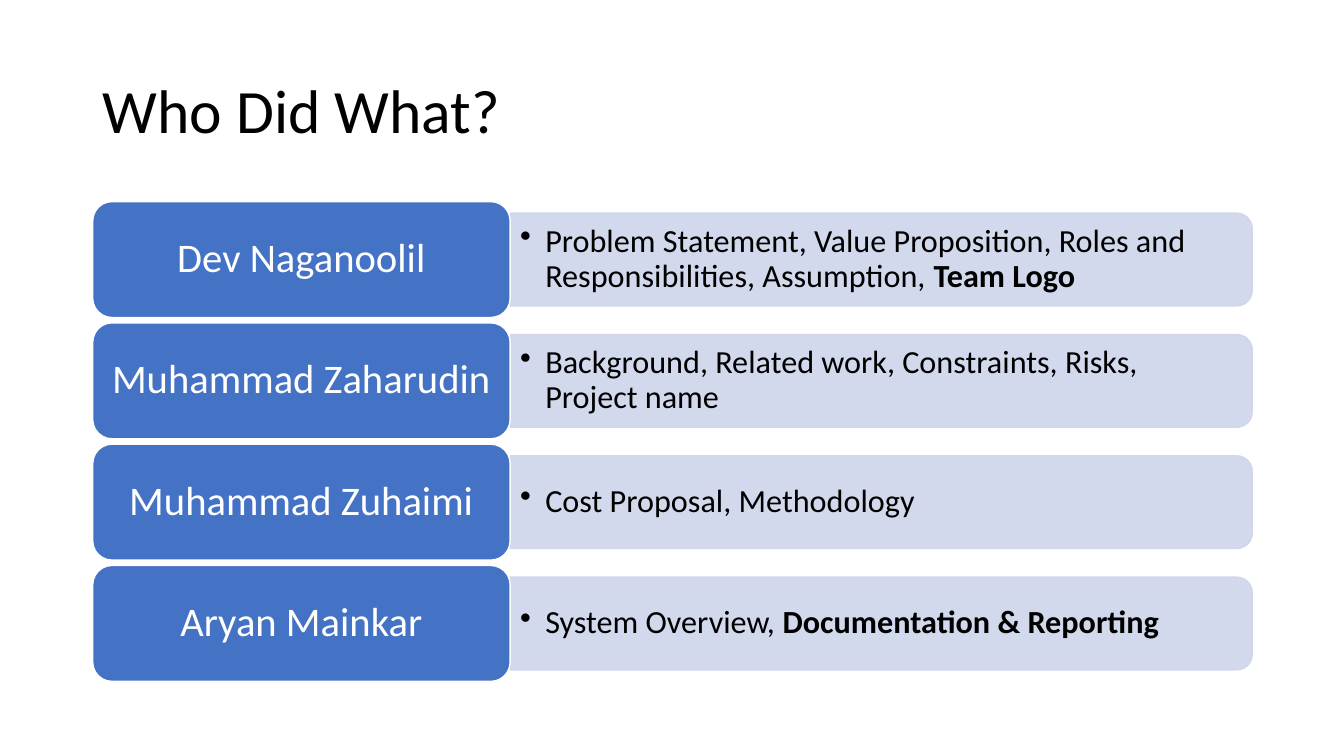
from dataclasses import dataclass

from lxml import etree
from pptx import Presentation
from pptx.dml.color import RGBColor
from pptx.enum.shapes import MSO_SHAPE
from pptx.enum.text import MSO_ANCHOR, PP_ALIGN
from pptx.oxml.ns import qn
from pptx.util import Inches, Pt

ROUNDED = MSO_SHAPE.ROUNDED_RECTANGLE
ROUNDED_TOP = MSO_SHAPE.ROUND_2_SAME_RECTANGLE
MIDDLE = MSO_ANCHOR.MIDDLE
LEFT, CENTER = PP_ALIGN.LEFT, PP_ALIGN.CENTER


@dataclass(frozen=True)
class Theme:
    font: str = "Calibri"
    ink: str = "000000"
    white: str = "FFFFFF"
    name_fill: str = "4472C4"
    task_fill: str = "CFD5EA"
    task_alpha: int = 90
    title_size: int = 44
    name_size: int = 29
    task_size: int = 23


THEME = Theme()

MEMBERS = [
    ("Dev Naganoolil", [
        ("Problem Statement, Value Proposition, Roles and Responsibilities, Assumption, ", False),
        ("Team Logo", True)]),
    ("Muhammad Zaharudin", [
        ("Background, Related work,\u00a0Constraints, Risks, Project name\u00a0", False)]),
    ("Muhammad Zuhaimi", [("Cost Proposal, Methodology", False)]),
    ("Aryan Mainkar", [
        ("System Overview, ", False),
        ("Documentation & Reporting\u00a0", True)]),
]

ROW_TOP, ROW_PITCH = 2.0, 3.61 / 3
NAME_LEFT, NAME_W, NAME_H = 0.92, 4.14, 1.15
TASK_LEFT, TASK_W, TASK_H = NAME_LEFT + NAME_W, 7.36, 0.92
NAME_PAD, TASK_PAD = 0.055, 0.045


def set_alpha(color_format, percent):
    color = color_format._xFill.find(qn("a:srgbClr"))
    etree.SubElement(color, qn("a:alpha")).set("val", str(percent * 1000))


def add_panel(slide, kind, left, top, width, height, fill, line, alpha=None):
    s = slide.shapes.add_shape(kind, Inches(left), Inches(top), Inches(width), Inches(height))
    s.shadow.inherit = False
    s.fill.solid()
    s.fill.fore_color.rgb = RGBColor.from_string(fill)
    s.line.color.rgb = RGBColor.from_string(line)
    s.line.width = Pt(1)
    if alpha is not None:
        for color in s._element.spPr.iter(qn("a:srgbClr")):
            etree.SubElement(color, qn("a:alpha")).set("val", str(alpha * 1000))
    return s


def add_text(slide, left, top, width, height, runs, size, color, align=LEFT, inset=0.1):
    s = slide.shapes.add_textbox(Inches(left), Inches(top), Inches(width), Inches(height))
    tf = s.text_frame
    tf.word_wrap = True
    tf.vertical_anchor = MIDDLE
    tf.margin_left = tf.margin_right = Inches(inset)
    tf.margin_top = tf.margin_bottom = Inches(inset / 2)
    p = tf.paragraphs[0]
    p.alignment = align
    p.line_spacing = 0.9
    for text, bold in runs:
        r = p.add_run()
        r.text = text
        r.font.name = THEME.font
        r.font.size = Pt(size)
        r.font.bold = bold
        r.font.color.rgb = RGBColor.from_string(color)
    return p


def add_bullet(p, indent):
    pPr = p._p.get_or_add_pPr()
    pPr.set("marL", str(Inches(indent)))
    pPr.set("indent", str(-Inches(indent)))
    etree.SubElement(pPr, qn("a:buChar")).set("char", "\u2022")


def add_task(slide, top, runs):
    left = TASK_LEFT + (TASK_W - TASK_H) / 2
    bar_top = top + (NAME_H - TASK_W) / 2
    s = add_panel(slide, ROUNDED_TOP, left, bar_top, TASK_H, TASK_W,
                  THEME.task_fill, THEME.task_fill, THEME.task_alpha)
    s.rotation = 90
    text_h = TASK_H - 2 * TASK_PAD
    p = add_text(slide, TASK_LEFT, top + (NAME_H - text_h) / 2, TASK_W - TASK_PAD, text_h,
                 runs, THEME.task_size, THEME.ink)
    add_bullet(p, 0.25)


def add_name(slide, top, name):
    add_panel(slide, ROUNDED, NAME_LEFT, top, NAME_W, NAME_H, THEME.name_fill, THEME.white)
    add_text(slide, NAME_LEFT + NAME_PAD, top + NAME_PAD,
             NAME_W - 2 * NAME_PAD, NAME_H - 2 * NAME_PAD,
             [(name, False)], THEME.name_size, THEME.white, CENTER, 0.12)


def main():
    prs = Presentation()
    prs.slide_width, prs.slide_height = Inches(13.33), Inches(7.5)
    slide = prs.slides.add_slide(prs.slide_layouts[6])
    add_text(slide, 0.92, 0.4, 11.5, 1.45, [("Who Did What?", False)],
             THEME.title_size, THEME.ink)
    for row, (name, tasks) in enumerate(MEMBERS):
        top = ROW_TOP + row * ROW_PITCH
        add_task(slide, top, tasks)
        add_name(slide, top, name)
    prs.save("out.pptx")


main()
